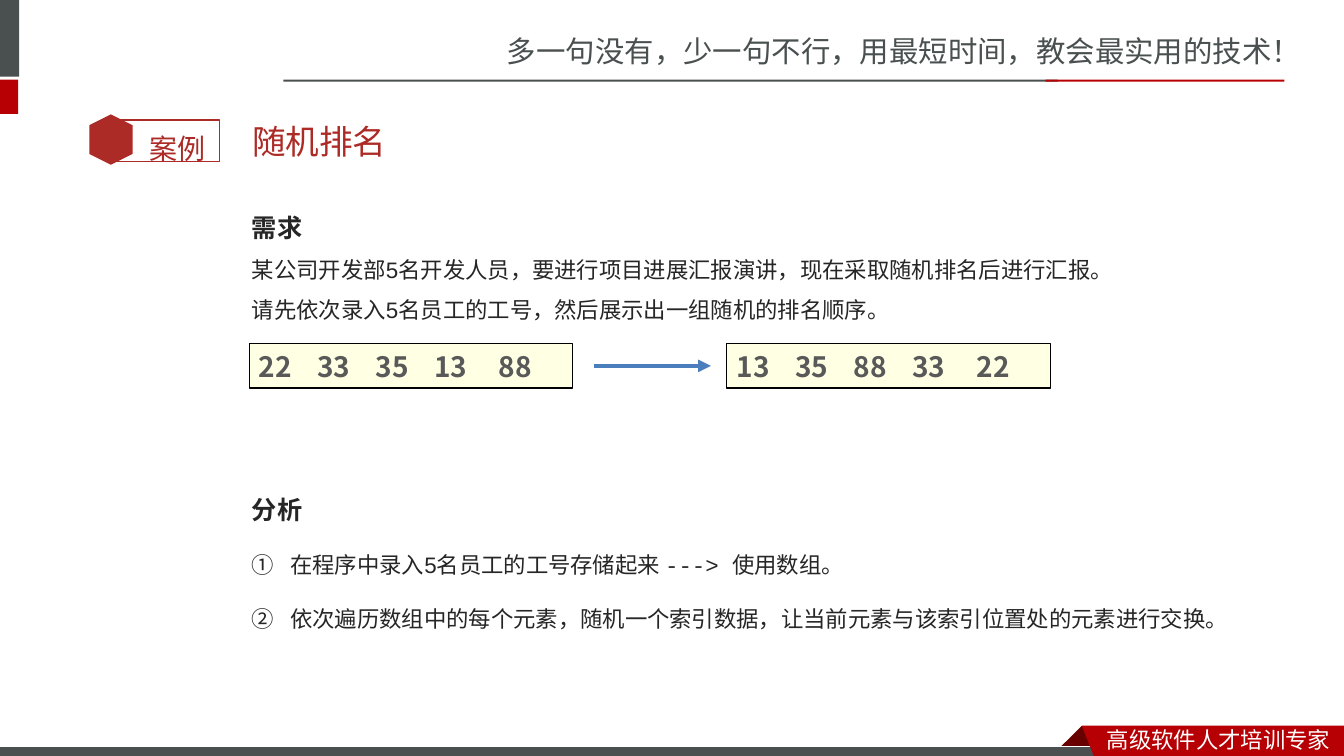
from lxml.etree import SubElement
from pptx import Presentation
from pptx.dml.color import RGBColor
from pptx.enum.shapes import MSO_CONNECTOR, MSO_SHAPE
from pptx.enum.text import MSO_ANCHOR, PP_ALIGN
from pptx.oxml.ns import qn
from pptx.util import Inches, Pt

CJK = "Noto Sans CJK SC"
CJK_BOLD = "Noto Sans CJK JP"
CODE = "Courier New"
GREY, RED, CRIMSON, INK = "49504F", "B60004", "AD2B26", "262626"


def color(hex_value):
    """Turn a hex string into a colour."""
    return RGBColor.from_string(hex_value)


def style_run(run, size, hex_value, font=CJK, bold=False, east_asian=CJK):
    """Format a run, with separate Latin and East Asian fonts."""
    run.font.size = Pt(size)
    run.font.bold = bold
    run.font.color.rgb = color(hex_value)
    run.font.name = font
    SubElement(run.font._element, qn("a:ea"), typeface=east_asian)


def paint(shape, fill=None, line=None, width=0.75):
    """Set fill and outline, leaving out whichever is not given."""
    shape.shadow.inherit = False
    if fill:
        shape.fill.solid()
        shape.fill.fore_color.rgb = color(fill)
    else:
        shape.fill.background()
    if line:
        shape.line.color.rgb = color(line)
        shape.line.width = Pt(width)
    else:
        shape.line.fill.background()


def add_block(slide, box, fill=None, line=None, width=0.75, kind=MSO_SHAPE.RECTANGLE):
    """Add a preset shape."""
    block = slide.shapes.add_shape(kind, *map(Inches, box))
    paint(block, fill, line, width)
    return block


def add_polygon(slide, points, fill):
    """Add a closed filled outline."""
    corners = [(Inches(x), Inches(y)) for x, y in points]
    builder = slide.shapes.build_freeform(*corners[0])
    builder.add_line_segments(corners[1:], close=True)
    paint(builder.convert_to_shape(), fill)


def add_label(slide, box, text, size, hex_value, font=CJK, spacing=None):
    """Add a single-line text box."""
    label = slide.shapes.add_textbox(*map(Inches, box)).text_frame
    label.word_wrap = True
    label.text = text
    if spacing:
        label.paragraphs[0].line_spacing = Pt(spacing)
    style_run(label.paragraphs[0].runs[0], size, hex_value, font)


def add_title(slide, text):
    """Place and format the title placeholder."""
    title = slide.shapes.title
    title.left, title.top, title.width, title.height = map(Inches, (2.4, 1.11, 10.08, 0.57))
    title.text_frame.text = text
    title.text_frame.vertical_anchor = MSO_ANCHOR.MIDDLE
    heading = title.text_frame.paragraphs[0]
    heading.alignment = PP_ALIGN.LEFT
    style_run(heading.runs[0], 24, CRIMSON, "Calibri")


def add_number_row(slide, left, numbers):
    """Add a framed row of numbers aligned on tab stops."""
    frame = add_block(slide, (left, 3.41, 3.21, 0.44), "FFFFE4", "000000").text_frame
    frame.vertical_anchor = MSO_ANCHOR.MIDDLE
    frame.text = "\t".join(numbers)
    row = frame.paragraphs[0]
    row.alignment = PP_ALIGN.LEFT
    stops = SubElement(row._p.get_or_add_pPr(), qn("a:tabLst"))
    for stop in (0.58, 1.16, 1.74, 2.38):
        SubElement(stops, qn("a:tab"), pos=str(Inches(stop)), algn="l")
    style_run(row.runs[0], 20, "595959", CJK_BOLD, True, CJK_BOLD)


def add_arrow(slide, start, end, y):
    """Add a horizontal arrow."""
    arrow = slide.shapes.add_connector(
        MSO_CONNECTOR.STRAIGHT, Inches(start), Inches(y), Inches(end), Inches(y))
    arrow.line.color.rgb = color("4B7EBC")
    arrow.line.width = Pt(3)
    SubElement(arrow.line._get_or_add_ln(), qn("a:tailEnd"), type="triangle")
    SubElement(arrow._element.spPr, qn("a:effectLst"))


def number_paragraph(paragraph):
    """Give a paragraph a circled number and a hanging indent."""
    properties = paragraph._p.get_or_add_pPr()
    properties.set("marL", str(Inches(0.38)))
    properties.set("indent", str(-Inches(0.38)))
    SubElement(properties, qn("a:buFont"), typeface=CJK)
    SubElement(properties, qn("a:buAutoNum"), type="circleNumDbPlain")


def add_body(slide, sections):
    """Add headed sections of text, each with its line spacing and gap above."""
    body = slide.shapes.add_textbox(*map(Inches, (2.4, 1.89, 10.08, 4.69))).text_frame
    body.word_wrap = True
    body.margin_top = Inches(0.12)
    paragraph = body.paragraphs[0]
    for heading, spacing, gap, numbered, lines in sections:
        if paragraph.runs:
            paragraph = body.add_paragraph()
        paragraph.text = heading
        paragraph.line_spacing = Pt(spacing)
        paragraph.space_before = Pt(gap)
        style_run(paragraph.runs[0], 18, INK, CJK_BOLD, True, CJK_BOLD)
        for line in lines:
            paragraph = body.add_paragraph()
            paragraph.line_spacing = Pt(spacing)
            if numbered:
                number_paragraph(paragraph)
            for text in line:
                run = paragraph.add_run()
                run.text = text
                style_run(run, 16, INK, "Arial" if text == "5" else CODE)


def add_frame(slide):
    """Draw the header and footer bands."""
    add_label(slide, (4.93, 0.28, 8.41, 0.47),
              "多一句没有，少一句不行，用最短时间，教会最实用的技术！", 21, GREY)
    add_block(slide, (-0.06, 0, 0.25, 0.76), GREY)
    add_block(slide, (-0.06, 0.79, 0.24, 0.34), RED)
    add_block(slide, (2.81, 0.79, 7.68, 0.02), GREY)
    add_block(slide, (10.37, 0.79, 2.37, 0.02), RED)
    add_polygon(slide, [(10.73, 7.2), (10.95, 7.42), (10.94, 7.43),
                        (10.52, 7.43), (10.51, 7.42)], "680000")
    add_block(slide, (-0.01, 7.41, 11, 0.12), GREY, "FFFFFF")
    add_polygon(slide, [(10.73, 7.2), (13.33, 7.2), (13.33, 7.54), (10.86, 7.53)], RED)
    add_label(slide, (10.88, 7.15, 2.45, 0.37), "高级软件人才培训专家", 16, "FFFFFF")


def add_case_tag(slide):
    """Draw the hexagon tag beside the title."""
    add_block(slide, (1.09, 1.19, 1.09, 0.41), line=CRIMSON, width=1)
    hexagon = add_block(slide, (0.85, 1.17, 0.5, 0.43), CRIMSON, kind=MSO_SHAPE.HEXAGON)
    hexagon.rotation = 90
    add_label(slide, (1.38, 1.06, 0.85, 0.56), "案例", 20, CRIMSON, "Arial", 38)


def main():
    """Build and save the slide."""
    deck = Presentation()
    deck.slide_width, deck.slide_height = Inches(13.33), Inches(7.5)
    slide = deck.slides.add_slide(deck.slide_layouts[5])
    add_frame(slide)
    add_case_tag(slide)
    add_title(slide, "随机排名")
    add_body(slide, [
        ("需求", 28.6, 0, False, [
            ("某公司开发部", "5", "名开发人员，要进行项目进展汇报演讲，现在采取随机排名后进行汇报。"),
            ("请先依次录入", "5", "名员工的工号，然后展示出一组随机的排名顺序。")]),
        ("分析", 38.3, 106, True, [
            ("在程序中录入", "5", "名员工的工号存储起来 ---> 使用数组。"),
            ("依次遍历数组中的每个元素，随机一个索引数据，让当前元素与该索引位置处的元素进行交换。",)]),
    ])
    add_number_row(slide, 2.47, ["22", "33", "35", "13", "88"])
    add_number_row(slide, 7.21, ["13", "35", "88", "33", "22"])
    add_arrow(slide, 5.89, 7.05, 3.63)
    deck.save("out.pptx")


if __name__ == "__main__":
    main()
